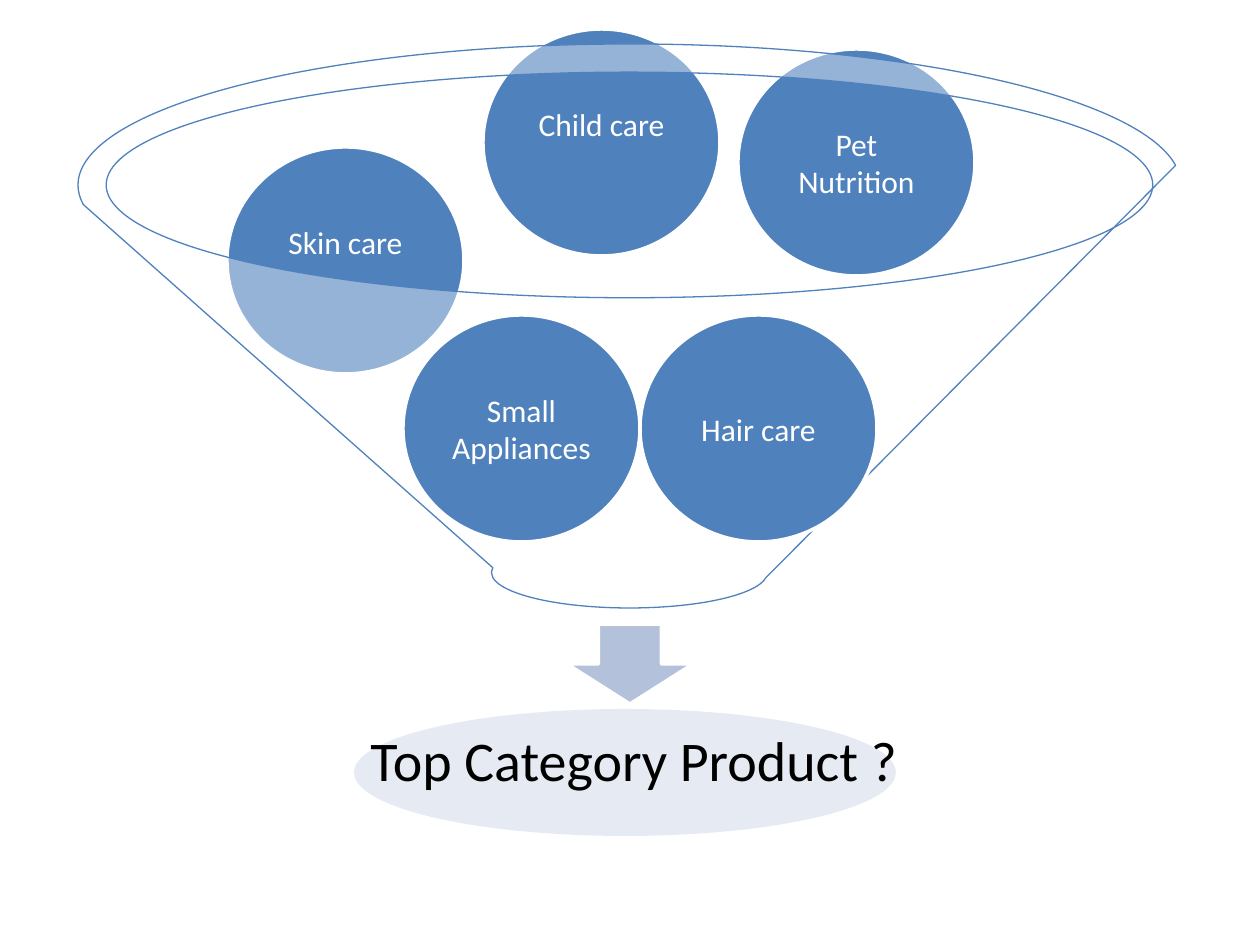
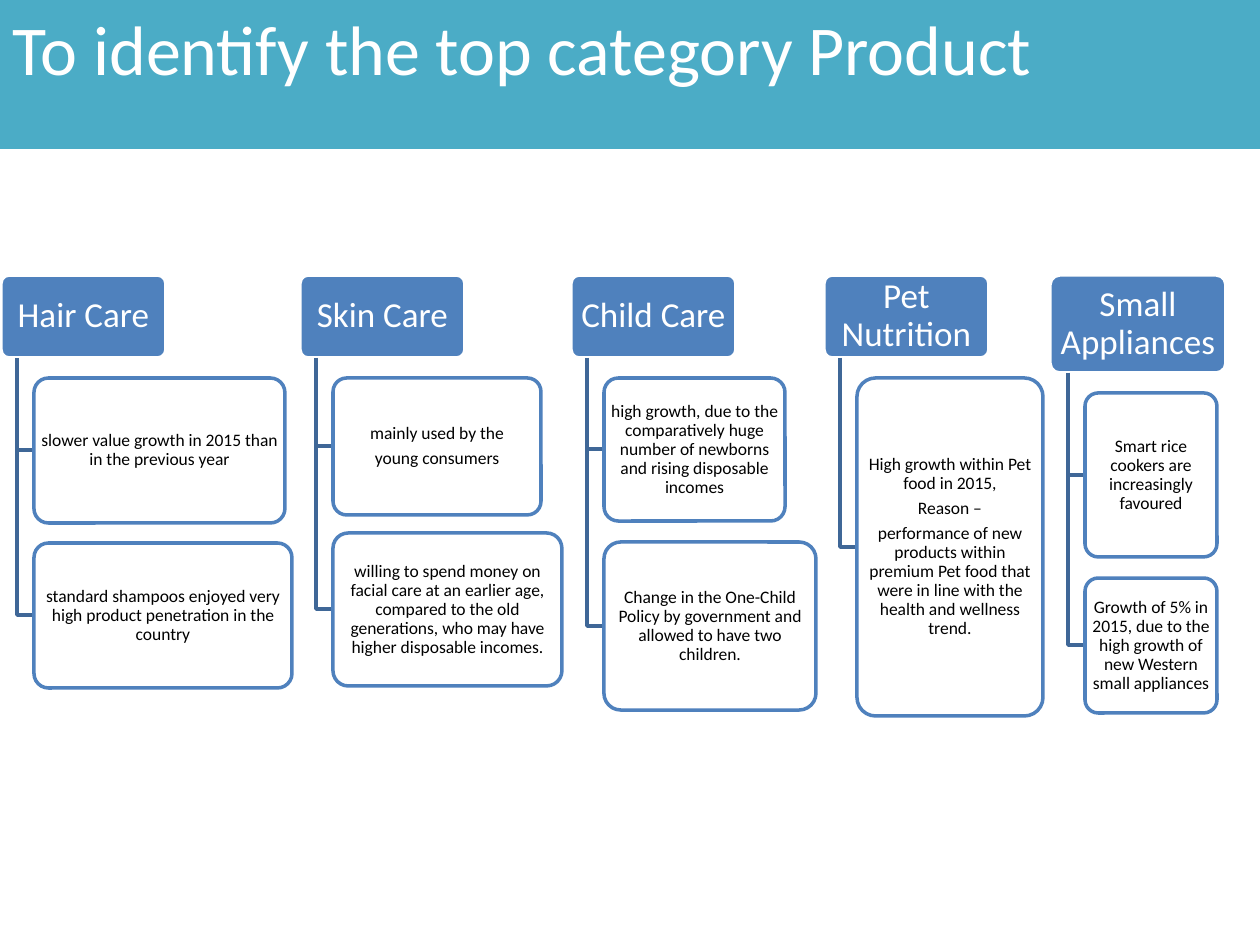
from pptx import Presentation
from pptx.dml.color import RGBColor
from pptx.enum.shapes import MSO_SHAPE
from pptx.enum.text import MSO_ANCHOR, PP_ALIGN
from pptx.oxml.ns import qn
from pptx.util import Emu, Inches, Pt
from lxml import etree

ELLIPSE = MSO_SHAPE.OVAL
ROUNDED = MSO_SHAPE.ROUNDED_RECTANGLE
DOWN_ARROW = MSO_SHAPE.DOWN_ARROW
FUNNEL = MSO_SHAPE.FUNNEL
RECTANGLE = MSO_SHAPE.RECTANGLE
TOP, MIDDLE = MSO_ANCHOR.TOP, MSO_ANCHOR.MIDDLE
LEFT, CENTER = PP_ALIGN.LEFT, PP_ALIGN.CENTER

PIXEL = 914400 / 126
THEME = {
    "font": "Calibri",
    "blue": "4F81BD", "dark_blue": "3F6797", "teal": "4BACC6",
    "arrow": "B3C1DB", "pale": "C2CDE1", "white": "FFFFFF", "black": "000000",
    "thin": 0.75, "thick": 2,
    "title": 40, "result": 32, "heading": 20, "label": 18, "body": 10,
}


def add_shape(page, kind, frame, fill=None, line=None, width=THEME["thick"], alpha=None):
    """Add a preset shape at a pixel frame; alpha is the fill opacity in percent."""
    shape = page.shapes.add_shape(kind, *(Emu(round(v * PIXEL)) for v in frame))
    shape.shadow.inherit = False
    if fill:
        shape.fill.solid()
        shape.fill.fore_color.rgb = RGBColor.from_string(THEME[fill])
    else:
        shape.fill.background()
    if line:
        shape.line.color.rgb = RGBColor.from_string(THEME[line])
        shape.line.width = Pt(width)
    else:
        shape.line.fill.background()
    if alpha:
        color = shape.element.spPr.find(qn("a:solidFill"))[0]
        etree.SubElement(color, qn("a:alpha")).set("val", str(alpha * 1000))
    return shape


def write_text(shape, lines, size, color="white", insets=(13, 6, 13, 6),
               anchor=MIDDLE, align=CENTER, spacing=1.0, gap=0.0):
    """Write one paragraph per line; gap is the space between them as a share of the size."""
    frame = shape.text_frame
    sides = ("margin_left", "margin_top", "margin_right", "margin_bottom")
    frame_format = {side: Emu(round(v * PIXEL)) for side, v in zip(sides, insets)}
    frame_format.update(word_wrap=True, vertical_anchor=anchor)
    for name, value in frame_format.items():
        setattr(frame, name, value)
    for index, line in enumerate(lines):
        para = frame.add_paragraph() if index else frame.paragraphs[0]
        para_format = {"alignment": align, "line_spacing": spacing,
                       "space_before": Pt(THEME[size] * gap if index else 0)}
        for name, value in para_format.items():
            setattr(para, name, value)
        span = para.add_run()
        span.text = line
        for name, value in {"name": THEME["font"], "size": Pt(THEME[size])}.items():
            setattr(span.font, name, value)
        span.font.color.rgb = RGBColor.from_string(THEME[color])


deck = Presentation()
deck.slide_width, deck.slide_height = Inches(10), Inches(7.5)
blank = deck.slide_layouts[6]

# Slide 1: categories falling through a funnel
page = deck.slides.add_slide(blank)
CIRCLE = (237, 227)
RAISED = (13, 6, 13, 44)
CENTERED = (13, 6, 13, 6)
circles_behind = [
    (483, 29, ["Child care"], RAISED),
    (227, 147, ["Skin care"], RAISED),
    (738, 49, ["Pet", "Nutrition"], CENTERED),
]
circles_in_front = [
    (640, 315, ["Hair care"], CENTERED),
    (403, 315, ["Small", "Appliances"], CENTERED),
]
for circles in (circles_behind, circles_in_front):
    if circles is circles_in_front:
        add_shape(page, ELLIPSE, (354, 709, 542, 127), "pale", alpha=40)
        add_shape(page, DOWN_ARROW, (567, 624, 126, 80), "arrow", "white")
        result = add_shape(page, RECTANGLE, (332, 688, 604, 151))
        write_text(result, ["Top Category Product ?"], "result", "black",
                   insets=(31, 31, 31, 31), spacing=0.9)
        add_shape(page, FUNNEL, (78, 44, 1103, 564), "white", "blue", THEME["thin"], alpha=40)
    for left, top, lines, insets in circles:
        circle = add_shape(page, ELLIPSE, (left, top, *CIRCLE), "blue", "white")
        write_text(circle, lines, "label", insets=insets)

# Slide 2: one column of findings per category
page = deck.slides.add_slide(blank)
HEADER_TOP = 275
LIST_TEXT = {"spacing": 0.9, "gap": 0.35}
# heading, left, width, height, then findings as (top, width, height, lines)
columns = [
    ("Hair Care", 1, 165, 83, [
        (378, 251, 145, ["slower value growth in 2015 than in the previous year"]),
        (543, 258, 145, ["standard shampoos enjoyed very high product penetration "
                         "in the country"])]),
    ("Skin Care", 300, 165, 83, [
        (378, 208, 137, ["mainly used by the", "young consumers"]),
        (533, 229, 153, ["willing to spend money on facial care at an earlier age, "
                         "compared to the old generations, who may have higher "
                         "disposable incomes."])]),
    ("Child Care", 571, 165, 83, [
        (378, 181, 143, ["high growth, due to the comparatively huge number of "
                         "newborns and rising disposable incomes"]),
        (542, 212, 168, ["Change in the One-Child Policy by government and allowed "
                         "to have two children."])]),
    ("Pet Nutrition", 824, 165, 83, [
        (378, 186, 338, ["High growth within Pet food in 2015,", "Reason –",
                         "performance of new products within premium Pet food that "
                         "were in line with the health and wellness trend."])]),
    ("Small Appliances", 1050, 176, 98, [
        (393, 132, 164, ["Smart rice cookers are increasingly favoured"]),
        (578, 132, 135, ["Growth of 5% in 2015, due to the high growth of new "
                         "Western small appliances"])]),
]
for heading, left, width, height, findings in columns:
    header = add_shape(page, ROUNDED, (left, HEADER_TOP, width, height), "blue", "white")
    header.adjustments[0] = 0.1
    write_text(header, [heading], "heading", insets=(5, 3, 5, 3), **LIST_TEXT)
    trunk, branch = left + round(width * 0.1), left + round(width * 0.2)
    for top, box_width, box_height, lines in findings:
        middle = top + box_height // 2
        outline = page.shapes.build_freeform(trunk, HEADER_TOP + height, scale=PIXEL)
        outline.add_line_segments([(trunk, middle), (branch, middle)], close=False)
        bracket = outline.convert_to_shape()
        bracket.shadow.inherit = False
        bracket.fill.background()
        bracket.line.color.rgb = RGBColor.from_string(THEME["dark_blue"])
        bracket.line.width = Pt(THEME["thick"])
        box = add_shape(page, ROUNDED, (branch, top, box_width, box_height),
                        "white", "blue", alpha=90)
        box.adjustments[0] = 0.1
        write_text(box, lines, "body", "black", insets=(2, 1, 2, 1), **LIST_TEXT)

band = add_shape(page, RECTANGLE, (0, 0, 1260, 149), "teal")
write_text(band, ["To identify the top category Product"], "title", anchor=TOP, align=LEFT)

deck.save("out.pptx")
